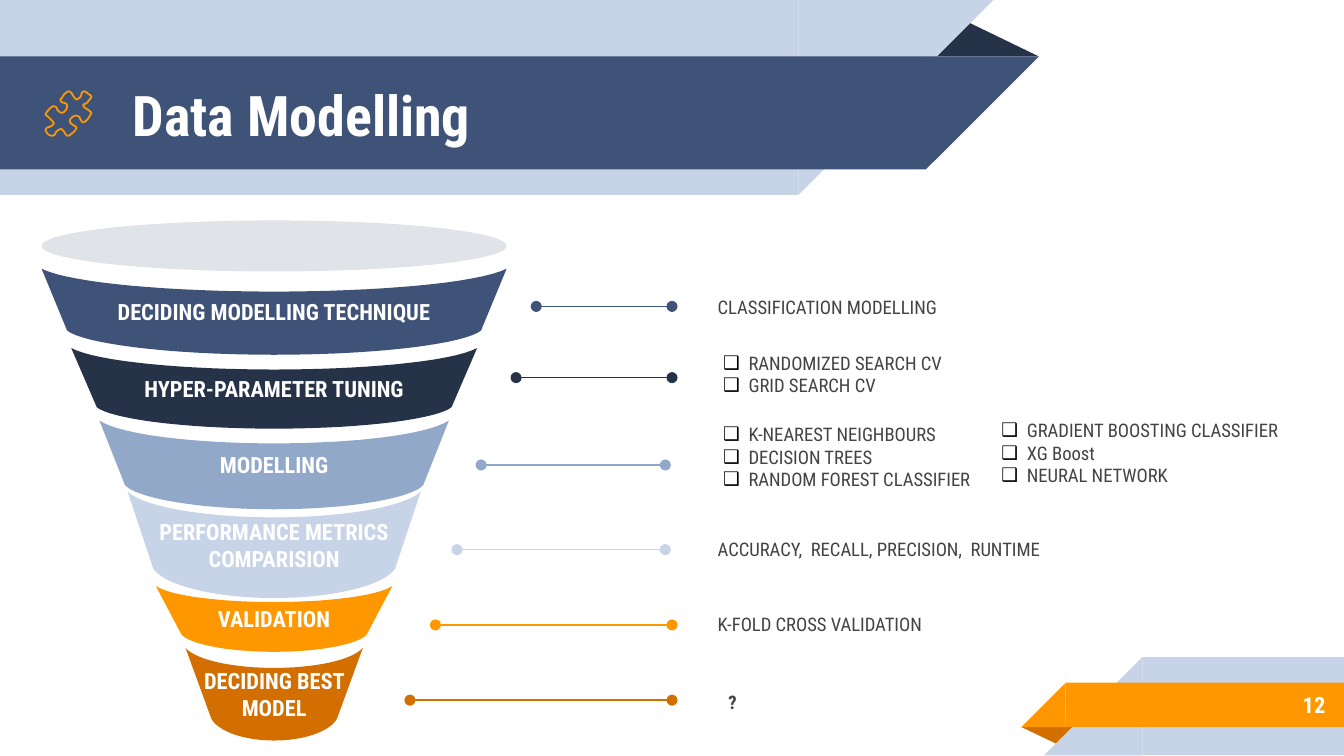
import pptx
import pptx.util
from pptx.dml.color import RGBColor
from pptx.enum.shapes import MSO_CONNECTOR, MSO_SHAPE
from pptx.enum.text import MSO_ANCHOR, PP_ALIGN
from pptx.oxml.ns import qn
from pptx.util import Inches
from lxml import etree

FONT = "Roboto Condensed"
COLORS = {
    "navy": "3F5378", "dark": "263248", "steel": "92A8C8", "pale": "C7D3E6",
    "orange": "FF9800", "rust": "D26F00", "rim": "E0E4E9",
    "white": "FFFFFF", "text": "434343", "bullet": "000000",
}
FUNNEL_X = 2.04

# label, colour, (top y, half width at top, sag of top edge),
# (y where the side ends, half width there, bottom y), connector (start, end, y)
STAGES = [
    ("DECIDING MODELLING TECHNIQUE", "navy", (2, 1.73, 0.17), (2.46, 1.54, 2.64), (3.99, 5, 2.28)),
    ("HYPER-PARAMETER TUNING", "dark", (2.59, 1.51, 0.16), (3.03, 1.32, 3.19), (3.84, 5, 2.81)),
    ("MODELLING", "steel", (3.13, 1.3, 0.17), (3.61, 1.11, 3.79), (3.58, 4.95, 3.46)),
    ("PERFORMANCE METRICS\nCOMPARISION", "pale", (3.66, 1.09, 0.19), (4.23, 0.9, 4.45), (3.4, 4.95, 4.09)),
    ("VALIDATION", "orange", (4.36, 0.88, 0.12), (4.72, 0.69, 4.85), (3.24, 5, 4.65)),
    ("DECIDING BEST MODEL", "rust", (4.82, 0.66, 0.15), (5.34, 0.47, 5.51), (3.05, 5, 5.21)),
]

NOTES = [
    ("CLASSIFICATION MODELLING", (5.34, 2.12, 2.67, 0.33), {}),
    ("RANDOMIZED SEARCH CV\nGRID SEARCH CV", (5.38, 2.62, 2.67, 0.33), {"bullet": "❑"}),
    ("K-NEAREST NEIGHBOURS\nDECISION TREES\nRANDOM FOREST CLASSIFIER",
     (5.38, 3.23, 1.84, 0.34), {"bullet": "❑"}),
    ("GRADIENT BOOSTING CLASSIFIER\nXG Boost\nNEURAL NETWORK",
     (7.45, 3.2, 2.15, 0.34), {"bullet": "❑"}),
    ("ACCURACY,  RECALL, PRECISION,  RUNTIME", (5.34, 3.92, 2.67, 0.33), {}),
    ("K-FOLD CROSS VALIDATION", (5.34, 4.48, 2.64, 0.33), {}),
    ("?", (5.42, 5.13, 0.19, 0.19), {"bold": True}),
]

# Knots of the puzzle piece outline, in hundredths of an inch
PUZZLE = [
    (64, 77), (66, 75), (68, 72), (66, 70), (63, 68), (61, 69), (60, 72), (57, 74),
    (55, 72), (53, 69), (51, 68), (48, 70), (46, 73), (45, 74), (46, 76), (49, 77),
    (50, 79), (49, 82), (46, 84), (43, 82), (42, 80), (40, 79), (38, 80), (36, 82),
    (34, 85), (36, 87), (39, 90), (40, 92), (38, 94), (35, 95), (34, 97), (36, 100),
    (39, 101), (41, 100), (42, 98), (45, 96), (47, 97), (49, 100), (51, 101), (54, 99),
    (56, 97), (57, 95), (56, 94), (53, 92), (52, 90), (53, 88), (56, 86), (59, 87),
    (60, 89), (62, 91), (65, 89), (67, 86), (68, 84), (66, 82), (63, 80), (62, 78),
]


def rgb(name):
    return RGBColor.from_string(COLORS[name])


def bezier(a, b, c, d, steps):
    """Points on a cubic curve from a to d, with d included."""
    points = []
    for i in range(steps + 1):
        t = i / steps
        weights = ((1 - t) ** 3, 3 * t * (1 - t) ** 2, 3 * t * t * (1 - t), t ** 3)
        points.append(tuple(sum(w * p[k] for w, p in zip(weights, (a, b, c, d))) for k in (0, 1)))
    return points


def add_outline(s, points):
    pts = [(Inches(x), Inches(y)) for x, y in points]
    builder = s.shapes.build_freeform(*pts[0])
    builder.add_line_segments(pts[1:], close=True)
    sp = builder.convert_to_shape()
    sp.shadow.inherit = False
    return sp


def set_fill(sp, color):
    sp.fill.solid()
    sp.fill.fore_color.rgb = rgb(color)
    sp.line.fill.background()


def add_bullet(p, char):
    pPr = p._p.get_or_add_pPr()
    pPr.set("marL", str(Inches(0.19)))
    pPr.set("indent", str(-Inches(0.19)))
    clr = etree.SubElement(pPr, qn("a:buClr"))
    etree.SubElement(clr, qn("a:srgbClr")).set("val", COLORS["bullet"])
    etree.SubElement(pPr, qn("a:buFont")).set("typeface", FONT)
    etree.SubElement(pPr, qn("a:buChar")).set("char", char)


def write(tf, text, size=10, color="text", bold=False, align=PP_ALIGN.LEFT,
          bullet=None, insets=(0, 0)):
    """Fill a text frame, one paragraph a line; insets are (sides, top and bottom)."""
    tf.word_wrap = True
    tf.vertical_anchor = MSO_ANCHOR.MIDDLE
    tf.margin_left = tf.margin_right = Inches(insets[0])
    tf.margin_top = tf.margin_bottom = Inches(insets[1])
    for i, line in enumerate(text.split("\n")):
        p = tf.add_paragraph() if i else tf.paragraphs[0]
        p.alignment = align
        if bullet:
            add_bullet(p, bullet)
        r = p.add_run()
        r.text = line
        r.font.name = FONT
        r.font.size = pptx.util.Pt(size)
        r.font.bold = bold
        r.font.color.rgb = rgb(color)


def add_text(s, text, box, **fmt):
    tb = s.shapes.add_textbox(*map(Inches, box))
    write(tb.text_frame, text, **fmt)


def add_preset(s, kind, box, color, rotation=0, flip=False):
    sp = s.shapes.add_shape(kind, *map(Inches, box))
    sp.shadow.inherit = False
    set_fill(sp, color)
    sp.rotation = rotation
    if flip:
        sp._element.spPr.find(qn("a:xfrm")).set("flipH", "1")
    return sp


def add_fold(s, box, color, rotation=0):
    sp = add_preset(s, MSO_SHAPE.ISOSCELES_TRIANGLE, box, color, rotation)
    sp.adjustments[0] = 0.32


def add_ribbon(s, x, y, w, h, color, slant_right):
    """A bar with a 45 degree end on its right or left side."""
    rotation = 180 if slant_right else 0
    tip_x = x + w if slant_right else x - h
    add_preset(s, MSO_SHAPE.RECTANGLE, (x, y, w, h), color, rotation, True)
    add_preset(s, MSO_SHAPE.RIGHT_TRIANGLE, (tip_x, y, h, h), color, rotation, True)


def add_band(s, label, color, upper, lower):
    top, half_top, sag = upper
    side, half_low, bottom = lower
    drop = bottom - side
    rim = bezier((half_top, top), (0.87 * half_top, top + 0.65 * sag),
                 (0.43 * half_top, top + sag), (0, top + sag), 16)
    base = bezier((0, bottom), (0.54 * half_low, bottom),
                  (0.93 * half_low, side + drop / 2), (half_low, side), 16)
    right = base + rim
    left = [(-x, y) for x, y in reversed(right)]
    sp = add_outline(s, [(FUNNEL_X + x, y) for x, y in right + left[1:-1]])
    set_fill(sp, color)
    write(sp.text_frame, label, size=12, color="white", bold=True,
          align=PP_ALIGN.CENTER, insets=(0.07, 0.04))


def add_link(s, x1, x2, y, color):
    line = s.shapes.add_connector(MSO_CONNECTOR.STRAIGHT, *map(Inches, (x1, y, x2, y)))
    line.line.color.rgb = rgb(color)
    line.line.width = pptx.util.Pt(0.75)
    ln = line.line._get_or_add_ln()
    for end in ("a:headEnd", "a:tailEnd"):
        etree.SubElement(ln, qn(end)).set("type", "oval")
    etree.SubElement(line._element.spPr, qn("a:effectLst"))


def add_puzzle(s):
    """Smooth closed outline through the knots."""
    knots = [(x / 100, y / 100) for x, y in PUZZLE]
    n = len(knots)
    points = []
    for i in range(n):
        before, a, d, after = (knots[(i + k) % n] for k in (-1, 0, 1, 2))
        b = tuple(a[k] + (d[k] - before[k]) / 6 for k in (0, 1))
        c = tuple(d[k] - (after[k] - a[k]) / 6 for k in (0, 1))
        points += bezier(a, b, c, d, 4)[:-1]
    sp = add_outline(s, points)
    sp.fill.background()
    sp.line.color.rgb = rgb("orange")
    sp.line.width = pptx.util.Pt(0.96)


def main():
    prs = pptx.Presentation()
    prs.slide_width = Inches(10)
    prs.slide_height = Inches(10 * 9 / 16)
    s = prs.slides.add_slide(prs.slide_layouts[6])

    add_fold(s, (6.88, 0.14, 0.85, 0.28), "dark")
    add_ribbon(s, 0, 0, 5.94, 1.45, "pale", True)
    add_ribbon(s, 0, 0.42, 6.89, 0.84, "navy", True)
    add_fold(s, (7.6, 5.41, 0.43, 0.14), "rust", 180)
    add_ribbon(s, 8.5, 4.89, 1.5, 0.73, "pale", False)
    add_ribbon(s, 7.93, 5.08, 2.07, 0.33, "orange", False)

    add_text(s, "Data Modelling", (0.89, 0.43, 5.75, 0.84), size=30, color="white",
             bold=True, insets=(0.1, 0.1))
    add_text(s, "12", (8.33, 5.07, 1.63, 0.35), size=12, color="white", bold=True,
             align=PP_ALIGN.RIGHT, insets=(0.1, 0.1))
    add_puzzle(s)

    add_preset(s, MSO_SHAPE.OVAL, (0.31, 1.64, 3.46, 0.38), "rim")
    for label, color, upper, lower, link in STAGES:
        add_band(s, label, color, upper, lower)
        add_link(s, *link, color)
    for text, box, fmt in NOTES:
        add_text(s, text, box, **fmt)

    prs.save("out.pptx")


if __name__ == "__main__":
    main()
